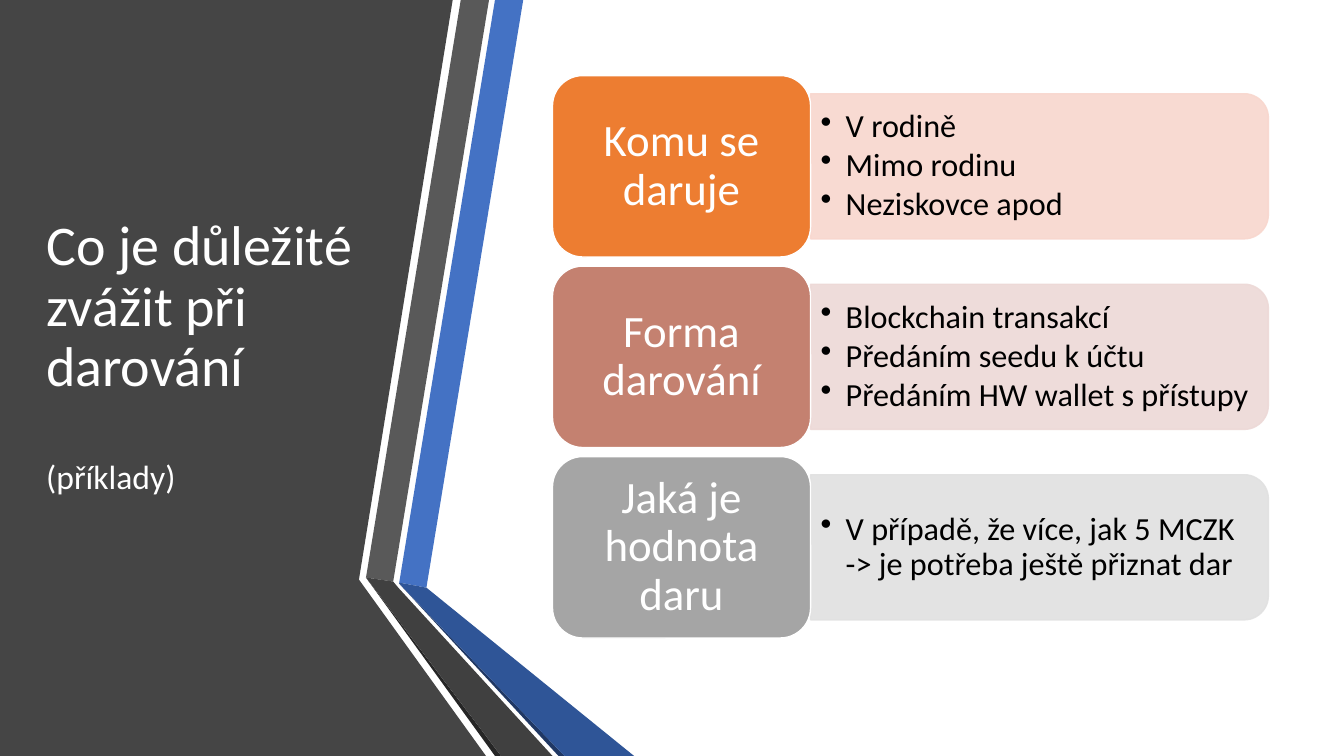
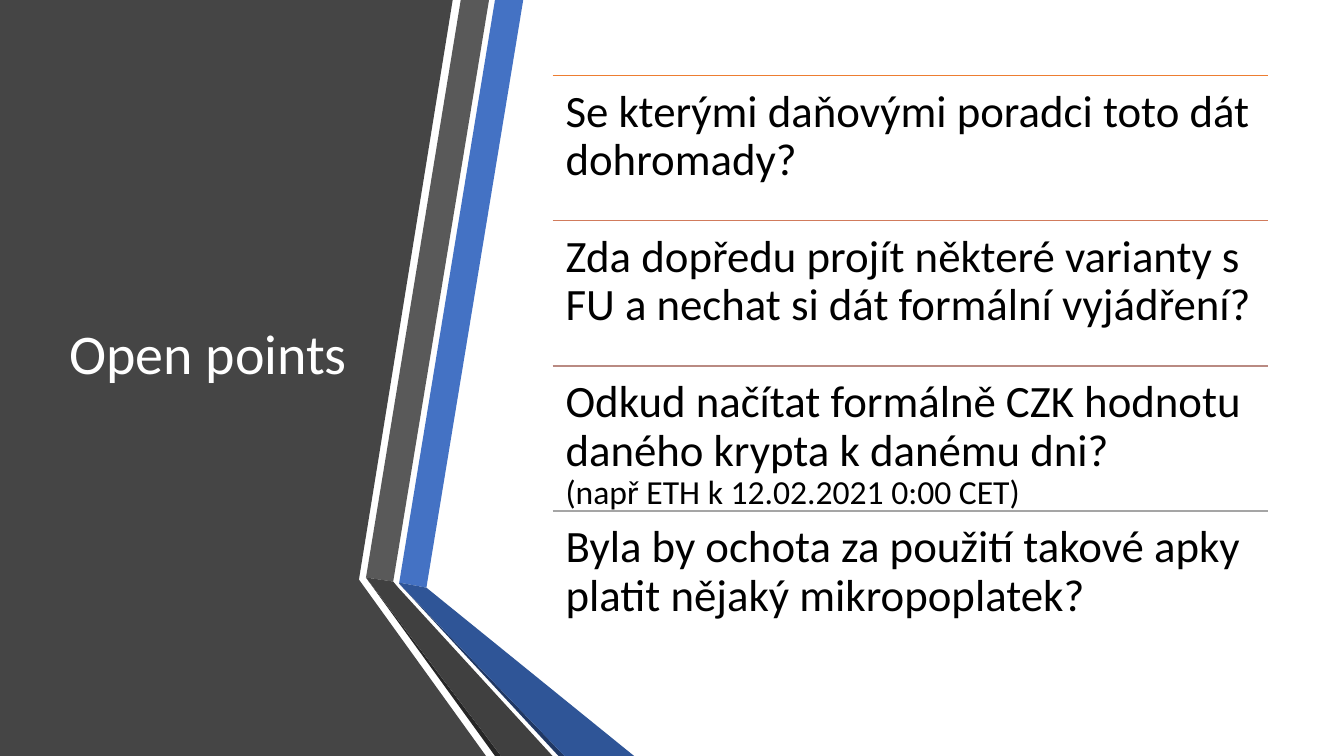
import lxml.etree
import pptx
import pptx.dml.color
import pptx.enum.shapes
import pptx.enum.text
import pptx.oxml.ns
import pptx.util

PX = 9144  # 100 px to the inch
FONT = "Calibri"
WHITE, BLACK = "FFFFFF", "000000"
SHAPE = pptx.enum.shapes.MSO_SHAPE
ALIGN = pptx.enum.text.PP_ALIGN
MIDDLE = pptx.enum.text.MSO_ANCHOR.MIDDLE
TOP = pptx.enum.text.MSO_ANCHOR.TOP
qn = pptx.oxml.ns.qn


def paint(fill, color):
    """Make the fill of a shape, line or font solid."""
    fill.solid()
    fill.fore_color.rgb = pptx.dml.color.RGBColor.from_string(color)


def write(tf, lines, size, color, inset, anchor=MIDDLE, align=ALIGN.LEFT, after=0, bullet=False):
    tf.word_wrap = True
    tf.vertical_anchor = anchor
    tf.margin_left = tf.margin_right = inset[0] * PX
    tf.margin_top = tf.margin_bottom = inset[1] * PX
    tf.text = "\n".join(lines)
    for p in tf.paragraphs:
        if bullet:
            pPr = p._p.get_or_add_pPr()
            pPr.set("marL", str(25 * PX))
            pPr.set("indent", str(-25 * PX))
            lxml.etree.SubElement(pPr, qn("a:buChar")).set("char", "•")
        p.alignment = align
        p.line_spacing = 0.9
        p.space_after = pptx.util.Pt(after)
        for r in p.runs:
            r.font.name = FONT
            r.font.size = pptx.util.Pt(size)
            paint(r.font.fill, color)


prs = pptx.Presentation()
prs.slide_width, prs.slide_height = 1333 * PX, 750 * PX

# Shared folded ribbon, from back to front
bands = [
    ("454545", [(0, 0), (449, 0), (356, 575), (482, 750), (0, 750)]),
    ("4472C4", [(396, 578), (423, 583), (519, 0), (491, 0)]),
    ("595959", [(485, 0), (457, 0), (363, 573), (390, 577)]),
    ("262626", [(363, 573), (491, 750), (497, 750)]),
    ("203864", [(396, 579), (554, 750), (560, 750)]),
    ("2F5597", [(396, 579), (560, 750), (629, 750), (423, 583), (396, 578)]),
    ("404040", [(548, 750), (395, 583), (390, 577), (363, 573), (497, 750)]),
]
titles = [
    (36, 325, ["Co je důležité zvážit při darování", "(příklady)"]),
    (59, 304, ["Open points"]),
]
for left, width, lines in titles:
    s = prs.slides.add_slide(prs.slide_layouts[6])
    for color, points in bands:
        outline = s.shapes.build_freeform(*points[0], scale=PX)
        outline.add_line_segments(points[1:], close=True)
        band = outline.convert_to_shape()
        band.shadow.inherit = False
        paint(band.fill, color)
        band.line.fill.background()
    title = s.shapes.add_textbox(left * PX, 75 * PX, width * PX, 558 * PX)
    write(title.text_frame, lines, 40, WHITE, (10, 5))
    for p in title.text_frame.paragraphs[1:]:
        p.space_before = pptx.util.Pt(44)
        p.runs[0].font.size = pptx.util.Pt(24)

considerations, open_points = prs.slides

# Slide 1: topic cards with bullet panels
topics = [
    ("Komu se daruje", "ED7D31", "F8D7CE",
     ["V rodině", "Mimo rodinu", "Neziskovce apod"]),
    ("Forma darování", "C48170", "EDD9D7",
     ["Blockchain transakcí", "Předáním seedu k účtu", "Předáním HW wallet s přístupy"]),
    ("Jaká je hodnota daru", "A5A5A5", "E1E1E1",
     ["V případě, že více, jak 5 MCZK\v-> je potřeba ještě přiznat dar"]),
]
for i, (topic, card_color, panel_color, points) in enumerate(topics):
    top = 75 + 189 * i
    panel = considerations.shapes.add_shape(
        SHAPE.ROUND_2_SAME_RECTANGLE, 959 * PX, (top - 137) * PX, 144 * PX, 454 * PX)
    panel.rotation = 90
    card = considerations.shapes.add_shape(
        SHAPE.ROUNDED_RECTANGLE, 548 * PX, top * PX, 256 * PX, 180 * PX)
    for shape, fill, line in ((panel, panel_color, panel_color), (card, card_color, WHITE)):
        shape.shadow.inherit = False
        paint(shape.fill, fill)
        paint(shape.line.fill, line)
        shape.line.width = pptx.util.Pt(1)
    for clr in panel.element.spPr.iter(qn("a:srgbClr")):
        lxml.etree.SubElement(clr, qn("a:alpha")).set("val", "90000")
    write(card.text_frame, [topic], 32, WHITE, (13, 7), align=ALIGN.CENTER)
    details = considerations.shapes.add_textbox(804 * PX, (top + 25) * PX, 447 * PX, 130 * PX)
    write(details.text_frame, points, 23, BLACK, (10, 5), after=3, bullet=True)

# Slide 2: ruled list of questions
questions = [
    ("ED7D31", "Se kterými daňovými poradci toto dát dohromady?"),
    ("D17B5C", "Zda dopředu projít některé varianty s FU a nechat si dát formální vyjádření?"),
    ("B98A82", "Odkud načítat formálně CZK hodnotu daného krypta k danému dni?"
               "\v(např ETH k 12.02.2021 0:00 CET)"),
    ("A5A5A5", "Byla by ochota za použití takové apky platit nějaký mikropoplatek?"),
]
for i, (color, question) in enumerate(questions):
    top = (75 + 144 * i) * PX
    rule = open_points.shapes.add_connector(
        pptx.enum.shapes.MSO_CONNECTOR.STRAIGHT, 548 * PX, top, 1258 * PX, top)
    paint(rule.line.fill, color)
    rule.line.width = pptx.util.Pt(1)
    lxml.etree.SubElement(rule.element.spPr, qn("a:effectLst"))
    box = open_points.shapes.add_textbox(548 * PX, top, 710 * PX, 144 * PX)
    write(box.text_frame, [question], 32, BLACK, (13, 13), anchor=TOP)
    for r in box.text_frame.paragraphs[0].runs[1:]:
        r.font.size = pptx.util.Pt(24)

prs.save("out.pptx")
